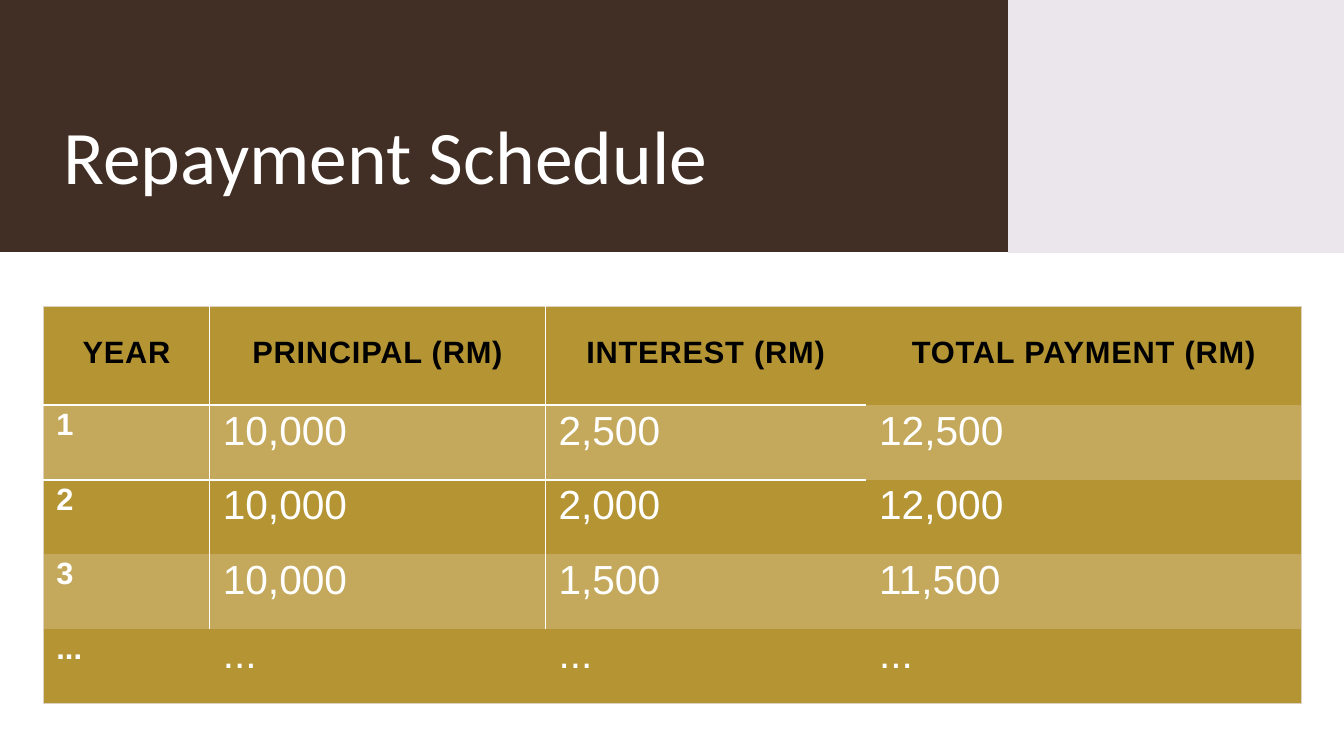
from pptx import Presentation
from pptx.dml.color import RGBColor
from pptx.enum.shapes import MSO_SHAPE
from pptx.enum.text import MSO_ANCHOR, MSO_AUTO_SIZE, PP_ALIGN
from pptx.util import Inches, Pt
from lxml.etree import SubElement
from pptx.oxml.ns import qn

# Content
TITLE = "Repayment Schedule"
ROWS = [
    ("YEAR", "PRINCIPAL (RM)", "INTEREST (RM)", "TOTAL PAYMENT (RM)"),
    ("1", "10,000", "2,500", "12,500"),
    ("2", "10,000", "2,000", "12,000"),
    ("3", "10,000", "1,500", "11,500"),
    ("...", "...", "...", "..."),
]
COL_WIDTHS = (1.65, 3.33, 3.18, 4.32)
HEADER_HEIGHT, ROW_HEIGHT = 0.98, 0.74
LAST_ROW, LAST_COL = len(ROWS) - 1, len(COL_WIDTHS) - 1

BROWN = RGBColor(0x41, 0x2E, 0x24)
LILAC = RGBColor(0xEB, 0xE6, 0xEB)
GOLD = RGBColor(0xB4, 0x94, 0x33)
LIGHT_GOLD = RGBColor(0xC4, 0xA9, 0x5C)
BEIGE = RGBColor(0xDD, 0xD2, 0xBF)
WHITE = RGBColor(0xFF, 0xFF, 0xFF)
BLACK = RGBColor(0, 0, 0)
NO_STYLE = "{2D5ABB26-0587-4C30-8999-92F81FD0307C}"


def add_block(slide, left, width, height, color):
    sp = slide.shapes.add_shape(MSO_SHAPE.RECTANGLE, Inches(left), 0,
                                Inches(width), Inches(height))
    sp.shadow.inherit = False
    sp.fill.solid()
    sp.fill.fore_color.rgb = color
    sp.line.fill.background()


def cell_borders(row, col):
    """Sides in schema order: frame in beige, inner rules in white."""
    frame, rule, header_rule = (BEIGE, 0.5), (WHITE, 1), (WHITE, 1.5)
    beside_rule = row < LAST_ROW
    above_rule = col < LAST_COL
    return {
        "L": frame if col == 0 else rule if col == 1 and beside_rule else None,
        "R": frame if col == LAST_COL else rule if col == 0 and beside_rule else None,
        "T": frame if row == 0 else header_rule if row == 1 and above_rule else None,
        "B": frame if row == LAST_ROW else header_rule if row == 0 and above_rule else None,
    }


def set_borders(cell, borders):
    tc_pr = cell._tc.get_or_add_tcPr()
    for side, border in borders.items():
        if border:
            color, width = border
            ln = SubElement(tc_pr, qn(f"a:ln{side}"), w=str(Pt(width)))
            fill = SubElement(ln, qn("a:solidFill"))
            SubElement(fill, qn("a:srgbClr"), val=str(color))


def fill_cell(cell, row, col, text):
    header = row == 0
    set_borders(cell, cell_borders(row, col))
    cell.fill.solid()
    cell.fill.fore_color.rgb = LIGHT_GOLD if row % 2 else GOLD
    margins = (0.27, 0.27, 0.27, 0.27) if header else (0.13, 0, 0.13, 0.18)
    (cell.margin_left, cell.margin_top,
     cell.margin_right, cell.margin_bottom) = map(Inches, margins)
    cell.text = text
    p = cell.text_frame.paragraphs[0]
    p.alignment = PP_ALIGN.CENTER if header else PP_ALIGN.LEFT
    p.line_spacing = 1.07
    p.space_after = Pt(8)
    bold = header or col == 0
    font = p.runs[0].font
    font.name = "Arial"
    font.size = Pt(22 if bold else 29)
    font.bold = bold
    font.color.rgb = BLACK if header else WHITE
    if header:
        p.runs[0]._r.get_or_add_rPr().set("spc", "60")


prs = Presentation()
prs.slide_width, prs.slide_height = Inches(13.33), Inches(7.5)
slide = prs.slides.add_slide(prs.slide_layouts[5])

# Title band
add_block(slide, 0, 10, 2.5, BROWN)
add_block(slide, 10, 3.33, 2.51, LILAC)

# Title, brought in front of the band
title = slide.shapes.title
slide.shapes._spTree.append(title._element)
title.left, title.top = Inches(0.53), Inches(0.71)
title.width, title.height = Inches(9.27), Inches(1.64)
tf = title.text_frame
tf.text = TITLE
tf.word_wrap = True
tf.auto_size = MSO_AUTO_SIZE.NONE
tf.vertical_anchor = MSO_ANCHOR.MIDDLE
p = tf.paragraphs[0]
p.alignment = PP_ALIGN.LEFT
p.font.name = "Calibri"
p.font.size = Pt(54)
p.font.color.rgb = WHITE

# Repayment table
frame = slide.shapes.add_table(
    len(ROWS), len(COL_WIDTHS), Inches(0.43), Inches(3.04),
    Inches(sum(COL_WIDTHS)), Inches(HEADER_HEIGHT + ROW_HEIGHT * LAST_ROW))
table = frame.table
table.horz_banding = False
table._tbl.tblPr.find(qn("a:tableStyleId")).text = NO_STYLE
for column, width in zip(table.columns, COL_WIDTHS):
    column.width = Inches(width)
for r, texts in enumerate(ROWS):
    table.rows[r].height = Inches(ROW_HEIGHT if r else HEADER_HEIGHT)
    for c, text in enumerate(texts):
        fill_cell(table.cell(r, c), r, c, text)

prs.save("out.pptx")
